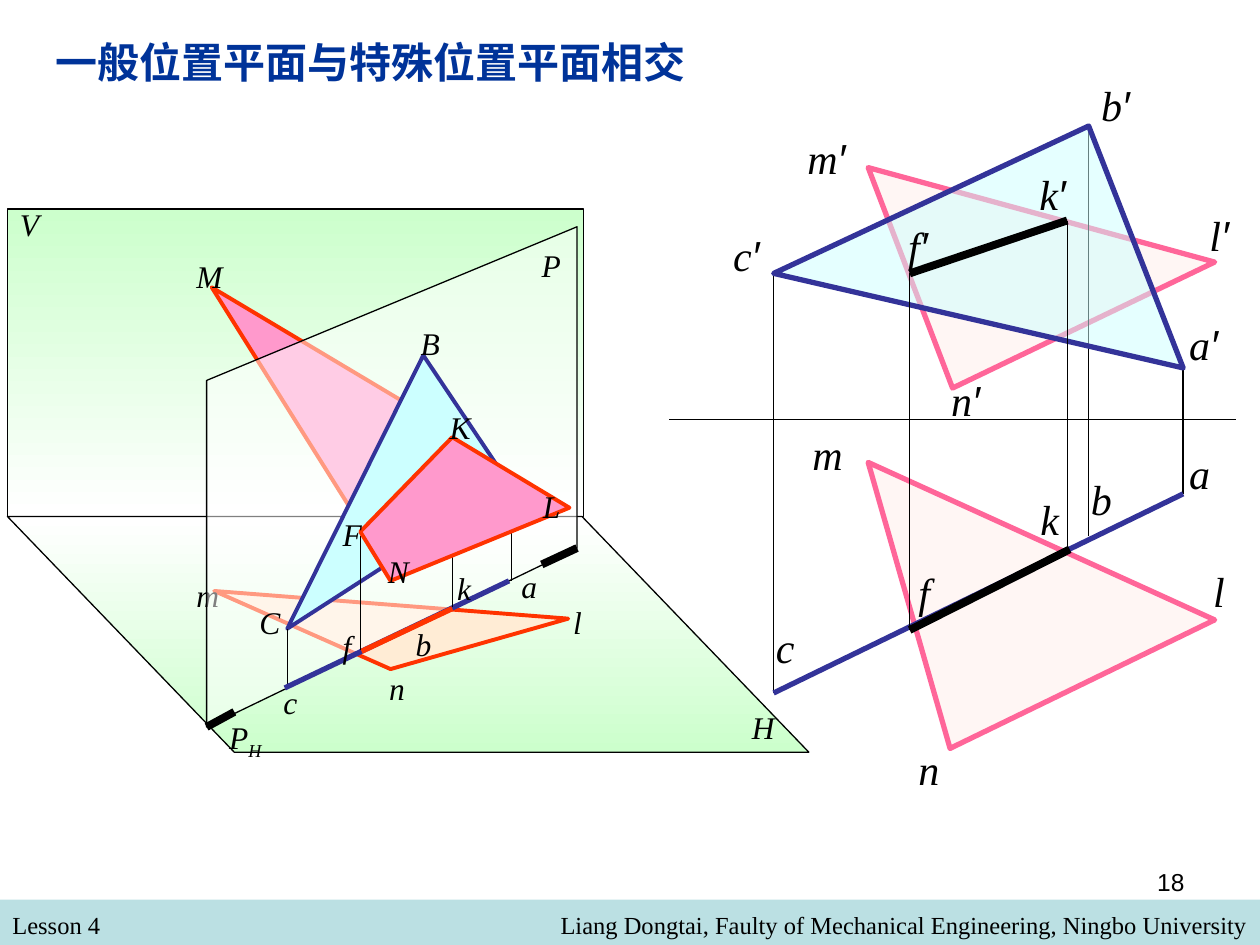
"""Build a slide on the intersection of a general plane with a special-position plane."""
from lxml.etree import SubElement
from pptx import Presentation
from pptx.dml.color import RGBColor
from pptx.enum.shapes import MSO_CONNECTOR, MSO_SHAPE
from pptx.enum.text import MSO_AUTO_SIZE, PP_ALIGN
from pptx.oxml.ns import qn
from pptx.util import Inches, Pt

BLACK, NAVY, PINK, RED = "000000", "333399", "FF6699", "FF3300"
SERIF = "Times New Roman"

prs = Presentation()
prs.slide_width, prs.slide_height = Inches(10), Inches(7.5)
s = prs.slides.add_slide(prs.slide_layouts[6])


def add_text(text, x, y, w, h, size, font=SERIF, color=BLACK, italic=False, suffix=""):
    tb = s.shapes.add_textbox(Inches(x), Inches(y), Inches(w), Inches(h))
    tf = tb.text_frame
    tf.word_wrap = True
    tf.auto_size = MSO_AUTO_SIZE.SHAPE_TO_FIT_TEXT
    p = tf.paragraphs[0]
    p.text = text
    if suffix:
        p.add_run().text = suffix
    for r in p.runs:
        r.font.size = Pt(size)
        r.font.name = "Arial" if r.text == "′" else font
        r.font.italic = italic
        r.font.color.rgb = RGBColor.from_string(color)
    return tf


def add_path(points, color=BLACK, width=0.75, fill=None, alpha=100):
    pts = [(Inches(x), Inches(y)) for x, y in points]
    if len(pts) == 2:
        sp = s.shapes.add_connector(MSO_CONNECTOR.STRAIGHT, *pts[0], *pts[1])
        SubElement(sp._element.spPr, qn("a:effectLst"))
    else:
        fb = s.shapes.build_freeform(*pts[0], scale=1.0)
        fb.add_line_segments(pts[1:], close=True)
        sp = fb.convert_to_shape()
        sp.shadow.inherit = False
    sp.line.color.rgb = RGBColor.from_string(color)
    sp.line.width = Pt(width)
    if fill:
        sp.fill.solid()
        sp.fill.fore_color.rgb = RGBColor.from_string(fill)
        clr = sp._element.spPr.find(qn("a:solidFill")).find(qn("a:srgbClr"))
        if alpha < 100:
            SubElement(clr, qn("a:alpha")).set("val", str(alpha * 1000))
    return sp


# Footer and title
band = s.shapes.add_shape(MSO_SHAPE.RECTANGLE, 0, Inches(7.14), Inches(10), Inches(0.36))
band.shadow.inherit = False
band.fill.solid()
band.fill.fore_color.rgb = RGBColor.from_string("BBE0E3")
band.line.fill.background()
add_text("Lesson 4", 0, 7.17, 4.83, 0.34, 14)
tf = add_text("Liang Dongtai, Faulty of Mechanical Engineering, Ningbo University",
              1.83, 7.17, 8.17, 0.34, 14)
tf.paragraphs[0].alignment = PP_ALIGN.RIGHT
tf = add_text("18", 7.17, 6.83, 2.33, 0.52, 14, "Arial")
tf.auto_size = MSO_AUTO_SIZE.NONE
tf.paragraphs[0].alignment = PP_ALIGN.RIGHT
tf = add_text("一般位置平面与特殊位置平面相交", 0.34, 0.24, 5.2, 0.5, 24, "Arial", "003399")
tf.word_wrap = False
tf.paragraphs[0].runs[0].font.bold = True

# Two-view projection
for points in ([(6.89, 3.67), (9.64, 4.92), (7.54, 5.94)],
               [(6.89, 1.33), (7.56, 3.08), (9.64, 2.08)]):
    add_path(points, PINK, 3, "FFEFEB", 50)
for x, top, bottom in [(6.14, 2.17, 5.5), (9.39, 2.92, 3.92), (8.64, 1, 4.25)]:
    add_path([(x, bottom), (x, top)])
add_path([(6.14, 2.17), (8.64, 1), (9.39, 2.92)], NAVY, 3, "CCFFFF", 50)
add_path([(6.14, 5.5), (9.39, 3.92)], NAVY, 3)
add_path([(5.31, 3.33), (9.81, 3.33)])
add_path([(8.47, 1.75), (7.22, 2.17)], BLACK, 4.5)
add_path([(7.22, 5), (8.49, 4.36)], BLACK, 4.5)
add_path([(7.22, 5), (7.22, 2.17)])
add_path([(8.47, 4.33), (8.47, 1.75)])

for text, x, y in [("n", 7.19, 5.85), ("l", 9.53, 4.44), ("m", 6.35, 3.35),
                   ("b", 8.56, 3.71), ("a", 9.34, 3.5), ("c", 6.06, 4.88),
                   ("f", 7.19, 4.45), ("k", 8.16, 3.87)]:
    add_text(text, x, y, 0.64, 0.5, 24, italic=True)
for text, x, y in [("m", 6.31, 1), ("l", 9.5, 1.61), ("n", 7.45, 2.92),
                   ("c", 5.72, 1.77), ("a", 9.34, 2.48), ("b", 8.64, 0.58),
                   ("f", 7.11, 1.7), ("k", 8.15, 1.29)]:
    add_text(text, x, y, 0.64, 0.5, 24, italic=True, suffix="′")

# Pictorial view
wall = s.shapes.add_shape(MSO_SHAPE.RECTANGLE, Inches(0.06), Inches(1.66),
                          Inches(4.57), Inches(2.44))
wall.shadow.inherit = False
wall.line.color.rgb = RGBColor.from_string(BLACK)
wall.line.width = Pt(0.75)
floor = add_path([(0.06, 4.1), (1.86, 5.97), (6.42, 5.97), (4.62, 4.1)])
for sp, colors in [(wall, ("CCFFCC", "FFFFFF")), (floor, ("FFFFFF", "CCFFCC"))]:
    sp.fill.gradient()
    sp.fill.gradient_angle = 270
    for stop, color, position in zip(sp.fill.gradient_stops, colors, (0, 1)):
        stop.color.rgb = RGBColor.from_string(color)
        stop.position = position

add_path([(2.86, 4.16), (1.68, 2.28), (3.59, 3.42)], RED, 2.25, "FF99CC")
add_path([(3.1, 5.31), (4.51, 4.91), (1.7, 4.69)], RED, 2.25, "FFECD5")
add_text("m", 1.46, 4.52, 0.62, 0.4, 18, italic=True)
add_path([(4.58, 4.35), (4.58, 1.8), (1.64, 3.02), (1.64, 5.77)], fill="FFFFFF", alpha=50)
add_path([(4.58, 4.35), (4.3, 4.48)], BLACK, 4.5)
add_path([(1.86, 5.65), (1.64, 5.77)], BLACK, 4.5)
add_path([(4.05, 3.85), (2.28, 4.99), (3.36, 2.82)], NAVY, 2.25, "CCFFFF")
add_path([(4.06, 4.61), (4.06, 3.85)])
add_path([(2.28, 5.46), (2.28, 4.99)])
add_path([(4.04, 4.61), (2.26, 5.46)], NAVY, 3)
add_path([(2.87, 5.17), (3.59, 4.83)], RED, 3)
add_path([(2.86, 4.25), (2.86, 5.16)])
add_path([(3.59, 3.5), (3.59, 4.82)])
add_path([(3.59, 3.47), (2.86, 4.22), (3.1, 4.61), (4.52, 4.03)], RED, 2.25, "FF99CC")

for text, x, y, w in [("V", 0.06, 1.58, 0.83), ("H", 5.87, 5.57, 0.83),
                      ("M", 1.46, 1.99, 0.62), ("n", 2.99, 5.26, 0.62),
                      ("l", 4.45, 4.74, 0.62), ("P", 4.2, 1.9, 0.39),
                      ("B", 3.24, 2.52, 0.7), ("C", 1.96, 4.74, 0.7),
                      ("a", 4.04, 4.45, 0.62), ("c", 2.15, 5.37, 0.62),
                      ("b", 3.2, 4.91, 0.62), ("k", 3.53, 4.47, 0.62),
                      ("f", 2.62, 4.93, 0.62), ("F", 2.62, 4.04, 0.62),
                      ("K", 3.47, 3.19, 0.62), ("N", 2.98, 4.33, 0.62),
                      ("L", 4.21, 3.82, 0.62)]:
    add_text(text, x, y, w, 0.4, 18, italic=True)
tf = add_text("P", 1.72, 5.65, 0.62, 0.44, 18, italic=True, suffix="H")
tf.paragraphs[0].runs[1].font._element.set("baseline", "-25000")

prs.save("out.pptx")
